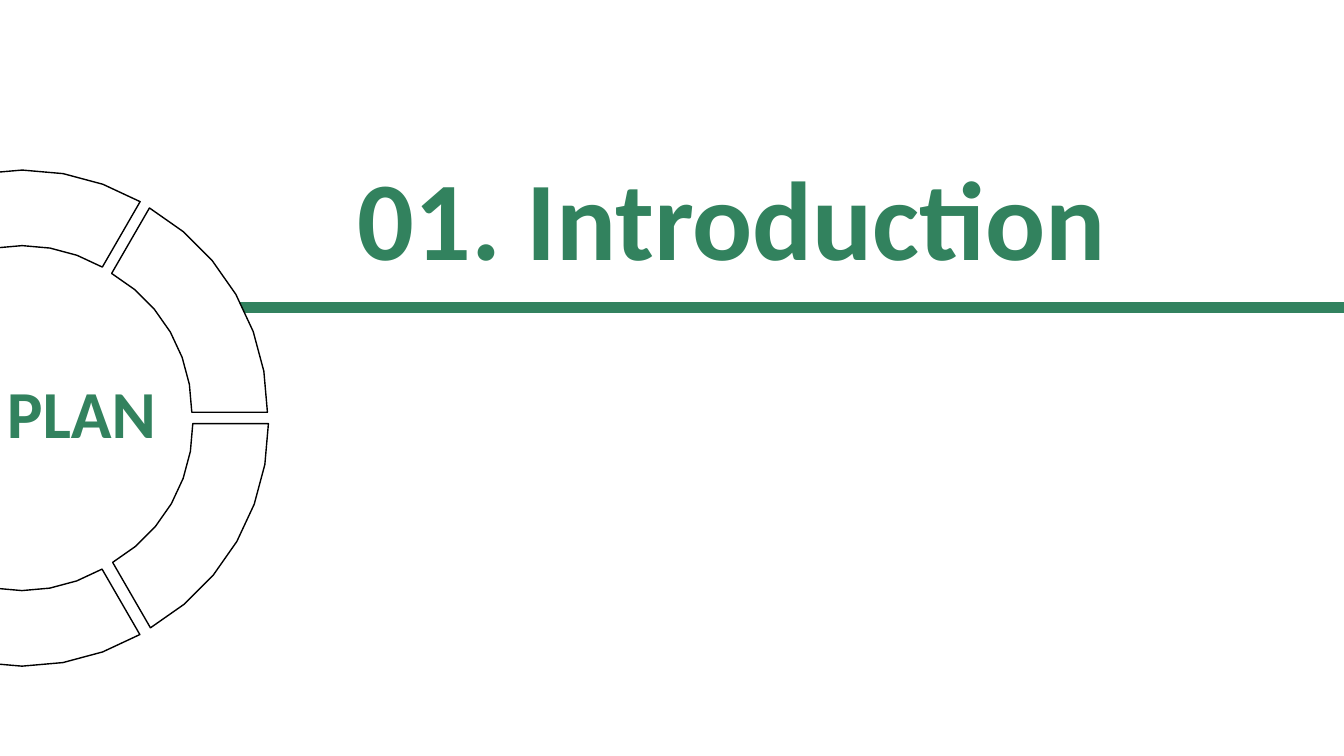
import math
from dataclasses import dataclass

import pptx
import pptx.dml.color
import pptx.enum.shapes
import pptx.enum.text
import pptx.oxml.ns
import pptx.shapes.base
import pptx.slide
import pptx.util
from lxml import etree
from pptx.util import Inches

GREEN = pptx.dml.color.RGBColor(0x32, 0x82, 0x5E)
RULE_GREEN = pptx.dml.color.RGBColor(0x32, 0x82, 0x5F)
WHITE = pptx.dml.color.RGBColor(0xFF, 0xFF, 0xFF)
BLACK = pptx.dml.color.RGBColor(0x00, 0x00, 0x00)

OUTER_RADIUS, INNER_RADIUS = 2.34, 1.59
SEGMENT_SPAN = 60
ARC_STEP = 10
RING_ROTATION = 150


@dataclass(frozen=True)
class Label:
    text: str
    left: float
    top: float
    width: float
    height: float
    size: int


@dataclass(frozen=True)
class Segment:
    """A ring segment; middle is its direction, clockwise from the right."""
    middle: int
    left: float
    top: float


HEADING = Label("01. Introduction", 3.45, 1.42, 7.94, 1.45, 80)
RING_LABEL = Label("PLAN", -0.03, 3.63, 1.9, 0.91, 48)
SEGMENTS = (
    Segment(90, -0.89, 5.36),
    Segment(-90, -0.7, 1.39),
    Segment(-30, 1.44, 1.99),
    Segment(30, 0.97, 4.28),
)


def polar(radius: float, degrees: float) -> tuple[int, int]:
    angle = math.radians(degrees)
    return Inches(radius * math.cos(angle)), Inches(radius * math.sin(angle))


def write_label(shape: pptx.shapes.base.BaseShape, label: Label) -> None:
    shape.left, shape.top = Inches(label.left), Inches(label.top)
    shape.width, shape.height = Inches(label.width), Inches(label.height)
    frame = shape.text_frame
    frame.text = label.text
    frame.word_wrap = False
    frame.auto_size = pptx.enum.text.MSO_AUTO_SIZE.SHAPE_TO_FIT_TEXT
    frame.vertical_anchor = pptx.enum.text.MSO_ANCHOR.TOP
    paragraph = frame.paragraphs[0]
    paragraph.alignment = pptx.enum.text.PP_ALIGN.LEFT
    font = paragraph.runs[0].font
    font.name = "Calibri"
    font.size = pptx.util.Pt(label.size)
    font.bold = True
    font.color.rgb = GREEN


def draw_rule(slide: pptx.slide.Slide) -> None:
    rule = slide.shapes.add_connector(
        pptx.enum.shapes.MSO_CONNECTOR.STRAIGHT,
        Inches(13.33), Inches(3.05), Inches(1.89), Inches(3.05))
    rule.line.color.rgb = RULE_GREEN
    rule.line.width = pptx.util.Pt(8)
    properties = rule._element.spPr
    etree.SubElement(properties, pptx.oxml.ns.qn("a:effectLst"))


def draw_segment(slide: pptx.slide.Slide, segment: Segment) -> None:
    """Outline the segment before the ring's turn, then place and turn it."""
    start = segment.middle - RING_ROTATION - SEGMENT_SPAN // 2
    sweep = range(start, start + SEGMENT_SPAN + 1, ARC_STEP)
    outline = [polar(OUTER_RADIUS, degrees) for degrees in sweep]
    outline += [polar(INNER_RADIUS, degrees) for degrees in reversed(sweep)]

    builder = slide.shapes.build_freeform(*outline[0])
    builder.add_line_segments(outline[1:], close=True)
    shape = builder.convert_to_shape()
    shape.left, shape.top = Inches(segment.left), Inches(segment.top)
    shape.rotation = RING_ROTATION
    shape.shadow.inherit = False
    shape.fill.solid()
    shape.fill.fore_color.rgb = WHITE
    shape.line.color.rgb = BLACK
    shape.line.width = pptx.util.Pt(1)


def main() -> None:
    presentation = pptx.Presentation()
    presentation.slide_width = Inches(13.33)
    presentation.slide_height = Inches(7.5)
    slide = presentation.slides.add_slide(
        presentation.slide_layouts.get_by_name("Title Only"))

    write_label(slide.shapes.title, HEADING)
    draw_rule(slide)
    for segment in SEGMENTS:
        draw_segment(slide, segment)
    write_label(slide.shapes.add_textbox(0, 0, 0, 0), RING_LABEL)

    presentation.save("out.pptx")


if __name__ == "__main__":
    main()
